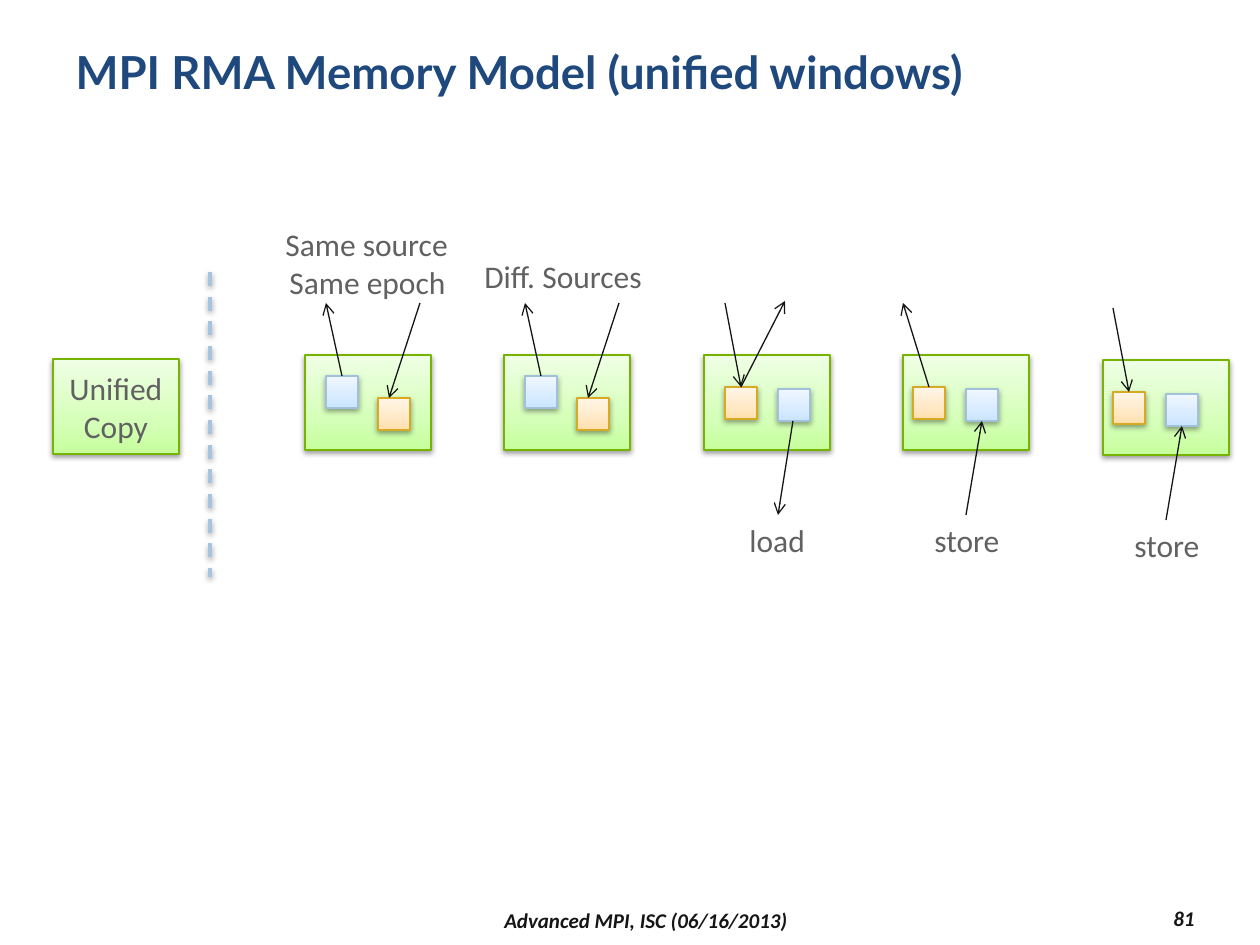
from copy import deepcopy
from dataclasses import dataclass

from lxml.etree import SubElement
from pptx import Presentation
from pptx.dml.color import RGBColor as RGB
from pptx.enum.dml import MSO_LINE_DASH_STYLE as Dash
from pptx.enum.shapes import MSO_CONNECTOR as Link, MSO_SHAPE as Kind
from pptx.enum.text import MSO_ANCHOR as Anchor, MSO_AUTO_SIZE as Fit, PP_ALIGN as Align
from pptx.oxml.ns import qn
from pptx.util import Inches, Pt

SCALE = Inches(10) / 1260


@dataclass(frozen=True)
class Theme:
    head: str = "Lato"
    body: str = "Calibri"
    navy: str = "1F497D"
    gray: str = "616161"
    ink: str = "151515"
    rule: str = "A6C4DE"
    # Each fill: line colour, then gradient stops from bottom to top
    green: tuple = ("77B400", "C6FF9D", "D6FFBA", "EFFFE5")
    blue: tuple = ("A1C0DA", "C9E4FF", "D8EBFF", "F0F7FF")
    gold: tuple = ("D8AA23", "FFDFAB", "FFE8C4", "FFF6E9")
    stops: tuple = (0, 0.35, 1)
    big: int = 26
    mid: int = 18
    small: int = 12
    thin: float = 0.75
    thick: int = 2


def px(*nums):
    return [round(n * SCALE) for n in nums]


def write(frame, text, font, size, color, bold=False, italic=False,
          aligns=(Align.LEFT,), anchor=Anchor.TOP, wrap=True):
    """Fill a text frame, one paragraph a line; the last alignment repeats."""
    frame.text = text
    frame.word_wrap = wrap
    frame.auto_size = Fit.NONE
    frame.vertical_anchor = anchor
    for i, par in enumerate(frame.paragraphs):
        par.alignment = aligns[min(i, len(aligns) - 1)]
        face = par.font
        face.name, face.size = font, Pt(size)
        face.bold, face.italic = bold, italic
        face.color.rgb = RGB.from_string(color)


def shade(shape, show=True):
    """Set the effect list: a soft shadow below, or none at all."""
    props = shape._element.spPr
    group = SubElement(props, qn("a:effectLst"))
    if show:
        drop = SubElement(group, qn("a:outerShdw"), blurRad="40000", dist="20000",
                          dir="5400000", rotWithShape="0")
        tint = SubElement(drop, qn("a:srgbClr"), val="000000")
        SubElement(tint, qn("a:alpha"), val="38000")


class Deck:
    def __init__(self, theme):
        self.theme = theme
        self.show = Presentation()
        self.show.slide_width, self.show.slide_height = px(1260, 945)
        self.slide = self.show.slides.add_slide(self.show.slide_layouts[5])

    def title(self, text, *box):
        t, shape = self.theme, self.slide.shapes.title
        shape.left, shape.top, shape.width, shape.height = px(*box)
        write(shape.text_frame, text, t.head, t.big, t.navy, bold=True)

    def rect(self, look, *box):
        edge, *tints = look
        shape = self.slide.shapes.add_shape(Kind.RECTANGLE, *px(*box))
        shape.fill.gradient()
        shape.fill.gradient_angle = 90
        ramp = shape._element.spPr.find(qn("a:gradFill")).find(qn("a:gsLst"))
        ramp.append(deepcopy(ramp[0]))
        for stop, tint, at in zip(shape.fill.gradient_stops, tints, self.theme.stops):
            stop.color.rgb = RGB.from_string(tint)
            stop.position = at
        shape.line.color.rgb = RGB.from_string(edge)
        shape.line.width = Pt(self.theme.thin)
        shade(shape)
        return shape

    def line(self, color, width, *ends):
        link = self.slide.shapes.add_connector(Link.STRAIGHT, *px(*ends))
        link.line.color.rgb = RGB.from_string(color)
        link.line.width = Pt(width)
        return link

    def rule(self, *ends):
        link = self.line(self.theme.rule, self.theme.thick, *ends)
        link.line.dash_style = Dash.DASH
        shade(link)

    def arrow(self, *ends):
        link = self.line(self.theme.ink, self.theme.thin, *ends)
        SubElement(link._element.spPr.find(qn("a:ln")), qn("a:tailEnd"), type="arrow")
        shade(link, False)

    def label(self, text, *box, **form):
        t = self.theme
        look = dict(font=t.body, size=t.mid, color=t.gray, wrap=False) | form
        write(self.slide.shapes.add_textbox(*px(*box)).text_frame, text, **look)

    def foot(self, text, align, *box):
        t = self.theme
        self.label(text, *box, size=t.small, color=t.ink, bold=True, italic=True,
                   aligns=(align,), anchor=Anchor.MIDDLE, wrap=True)

    def panel(self, left, top, case):
        """Draw one window; places in a case count from its top left corner."""
        t = self.theme
        self.rect(t.green, left, top, 126, 95)
        for look, spot in zip((t.blue, t.gold), case["cells"]):
            self.rect(look, left + spot[0], top + spot[1], 32, 32)
        for x1, y1, x2, y2 in case["arrows"]:
            self.arrow(left + x1, top + y1, left + x2, top + y2)
        text, x, y, wide, high = case["label"]
        self.label(text, left + x, top + y, wide, high,
                   aligns=(Align.LEFT, Align.CENTER))


def main():
    theme = Theme()
    deck = Deck(theme)
    deck.title("MPI RMA Memory Model (unified windows)", 63, 38, 1155, 110)
    copy = deck.rect(theme.green, 53, 359, 126, 95)
    write(copy.text_frame, "Unified\nCopy", theme.body, theme.mid, theme.gray,
          aligns=(Align.CENTER,), anchor=Anchor.MIDDLE)
    deck.rule(210, 272, 210, 577)

    # Cells are blue, then gold; arrows are x1, y1, x2, y2
    apart = dict(cells=[(21, 21), (73, 43)],
                 arrows=[(115, -52, 84, 43), (37, 21, 21, -52)])
    close = [(63, 34), (10, 32)]
    store = dict(cells=close, label=("store", 19, 160, 91, 50))
    push = (63, 160, 79, 66)
    cases = [
        apart | dict(label=("Same source\nSame epoch", -32, -136, 189, 89)),
        apart | dict(label=("Diff. Sources", -32, -104, 184, 50)),
        dict(cells=[(74, 34), (21, 32)],
             arrows=[(21, -52, 37, 32), (37, 32, 81, -54), (89, 66, 74, 160)],
             label=("load", 33, 160, 82, 50)),
        store | dict(arrows=[push, (26, 32, 0, -52)]),
        store | dict(arrows=[push, (10, -52, 26, 32)]),
    ]
    tops = [355] * 4 + [360]
    for i, (top, case) in enumerate(zip(tops, cases)):
        deck.panel(305 + i * 399 // 2, top, case)

    deck.foot("81", Align.RIGHT, 1071, 901, 136, 34)
    deck.foot("Advanced MPI, ISC (06/16/2013)", Align.CENTER, 273, 903, 746, 34)
    deck.show.save("out.pptx")


if __name__ == "__main__":
    main()
